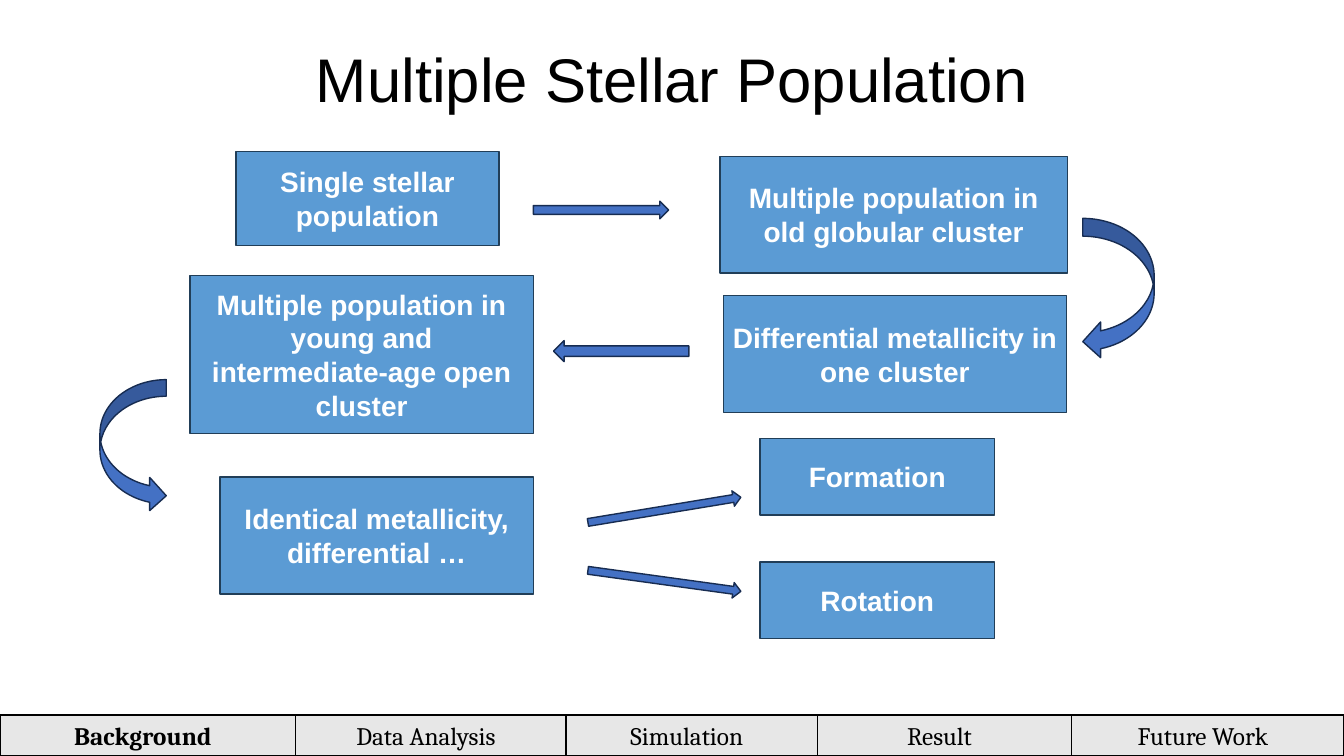
import math
from dataclasses import dataclass

from pptx import Presentation
from pptx import util as u
from pptx.dml.color import RGBColor
from pptx.enum import shapes, text

COLS, ROWS = 160, 90
CELL = u.Inches(1 / 12)


@dataclass(frozen=True)
class Theme:
    box: str = "5B9BD4"
    box_line: str = "213E58"
    arrow: str = "4471C4"
    arrow_line: str = "172C51"
    tab: str = "E7E7E7"
    dark: str = "000000"
    light: str = "FFFFFF"
    body_font: str = "Arial"
    tab_font: str = "Cambria"
    title_size: int = 44
    box_size: int = 20
    tab_size: int = 18
    line_width: int = 1


class Deck:
    """Places elements on a grid of COLS by ROWS square cells."""

    def __init__(self, theme):
        self.t = theme
        self.prs = Presentation()
        self.prs.slide_width = COLS * CELL
        self.prs.slide_height = ROWS * CELL
        self.s = self.prs.slides.add_slide(self.prs.slide_layouts[5])

    def grid(self, *cells):
        return [u.Emu(round(c * CELL)) for c in cells]

    def style(self, p, font, size, color, bold=False):
        p.font.name, p.font.size, p.font.bold = font, u.Pt(size), bold
        p.font.color.rgb = RGBColor.from_string(color)

    def shape(self, kind, place, fill, line):
        sp = self.s.shapes.add_shape(kind, *self.grid(*place))
        sp.shadow.inherit = False
        sp.fill.solid()
        sp.fill.fore_color.rgb = RGBColor.from_string(fill)
        sp.line.color.rgb = RGBColor.from_string(line)
        sp.line.width = u.Pt(self.t.line_width)
        return sp

    def label(self, sp, words, left, right, *look):
        tf = sp.text_frame
        tf.word_wrap = True
        tf.vertical_anchor = text.MSO_ANCHOR.MIDDLE
        tf.margin_left, tf.margin_right = self.grid(left, right)
        tf.margin_top = tf.margin_bottom = 0
        tf.text = words
        for p in tf.paragraphs:
            p.alignment = text.PP_ALIGN.CENTER
            self.style(p, *look)

    def title(self, words, place, indent, drop):
        sp = self.s.shapes.title
        sp.left, sp.top, sp.width, sp.height = self.grid(*place)
        tf = sp.text_frame
        tf.text = words
        tf.vertical_anchor = text.MSO_ANCHOR.TOP
        tf.margin_left, tf.margin_top = self.grid(indent, drop)
        p = tf.paragraphs[0]
        p.alignment = text.PP_ALIGN.LEFT
        self.style(p, self.t.body_font, self.t.title_size, self.t.dark)

    def box(self, words, place, pad=2.4):
        t = self.t
        sp = self.shape(shapes.MSO_SHAPE.RECTANGLE, place, t.box, t.box_line)
        self.label(sp, words, pad, pad, t.body_font, t.box_size, t.light, True)

    def arrow(self, tail, tip, width):
        length = math.dist(tail, tip)
        x, y = (tail[0] + tip[0]) / 2, (tail[1] + tip[1]) / 2
        place = (x - length / 2, y - width / 2, length, width)
        sp = self.shape(shapes.MSO_SHAPE.RIGHT_ARROW, place,
                        self.t.arrow, self.t.arrow_line)
        sp.rotation = math.degrees(math.atan2(tip[1] - tail[1], tip[0] - tail[0]))

    def bend(self, kind, place):
        self.shape(kind, place, self.t.arrow, self.t.arrow_line)

    def tabs(self, names, edges, top, current):
        t = self.t
        for name, left, right in zip(names, edges, edges[1:]):
            sp = self.shape(shapes.MSO_SHAPE.RECTANGLE,
                            (left, top, right - left, ROWS - top), t.tab, t.dark)
            self.label(sp, name, 0, 1.2, t.tab_font, t.tab_size, t.dark,
                       name == current)


def main():
    deck = Deck(Theme())
    deck.title("Multiple Stellar Population", (12, 3.2, 139.6, 14.3), 25.6, 1.7)

    # Steps of the argument
    deck.box("Single stellar population", (28.1, 18, 31.3, 11.2))
    deck.box("Multiple population in old globular cluster", (85.7, 18.6, 41.4, 13.9))
    deck.box("Differential metallicity in\none cluster", (86.1, 35.2, 40.9, 13.9), pad=0)
    deck.box("Multiple population in young and intermediate-age open cluster",
             (22.6, 32.8, 40.9, 18.8))
    deck.box("Identical metallicity, differential …", (26.2, 56.8, 37.3, 13.9))
    for topic, top in (("Formation", 52.2), ("Rotation", 66.9)):
        deck.box(topic, (90.5, top, 27.9, 9.1))

    # Arrows between the steps
    deck.arrow((63.5, 25), (79.6, 25), 2.1)
    deck.arrow((82, 41.8), (65.9, 41.8), 2.5)
    deck.arrow((70, 62.2), (88.2, 59.2), 1.85)
    deck.arrow((70, 67.9), (88.2, 70.4), 1.85)
    deck.bend(shapes.MSO_SHAPE.CURVED_LEFT_ARROW, (128.9, 26, 8.5, 16.8))
    deck.bend(shapes.MSO_SHAPE.CURVED_RIGHT_ARROW, (11.9, 45.2, 7.9, 15.8))

    # Section bar
    deck.tabs(("Background", "Data Analysis", "Simulation", "Result", "Future Work"),
              (0, 35.2, 67.4, 97.3, 127.6, COLS), 85.1, "Background")

    deck.prs.save("out.pptx")


if __name__ == "__main__":
    main()
